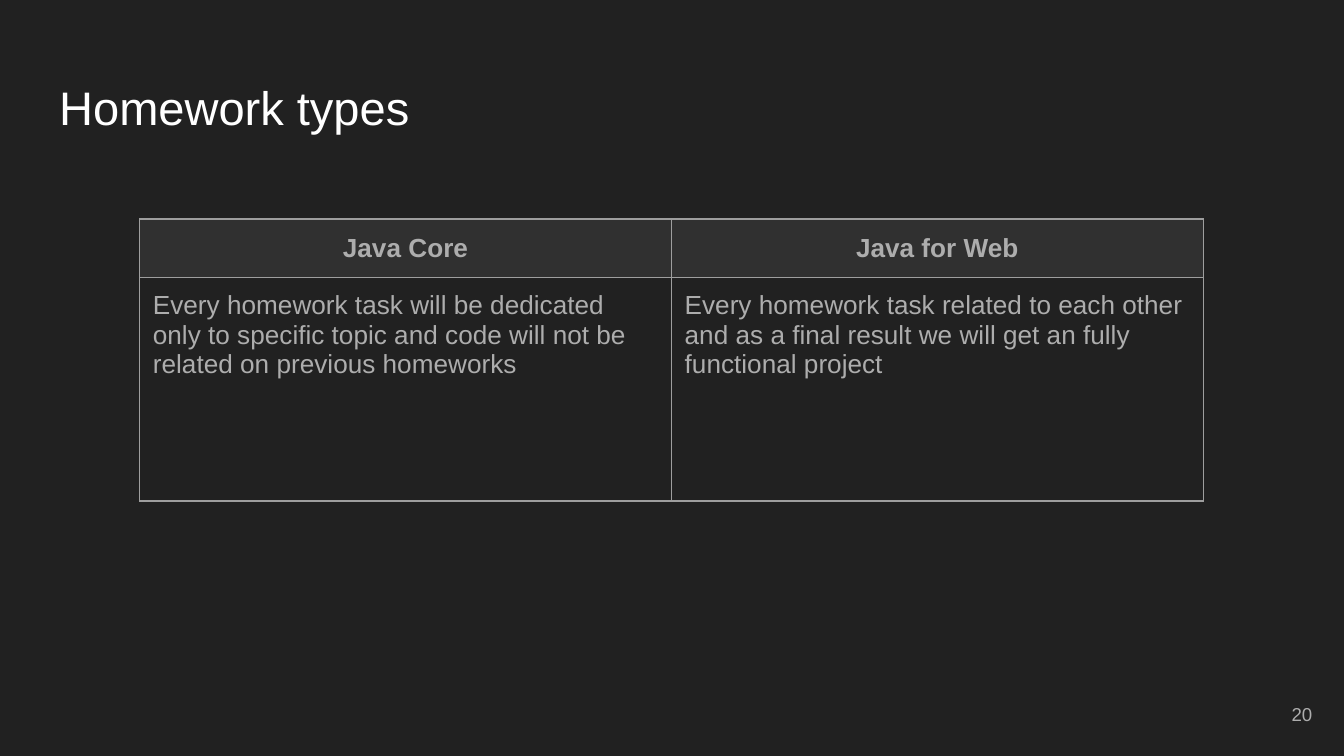
from dataclasses import dataclass
from lxml import etree
from pptx import Presentation
from pptx.dml.color import RGBColor
from pptx.enum.text import MSO_ANCHOR, PP_ALIGN
from pptx.oxml.ns import qn
from pptx.util import Cm, Pt

LEFT, CENTER, RIGHT = PP_ALIGN.LEFT, PP_ALIGN.CENTER, PP_ALIGN.RIGHT
TOP, MIDDLE = MSO_ANCHOR.TOP, MSO_ANCHOR.MIDDLE


@dataclass(frozen=True)
class Theme:
    font: str = "Arial"
    back: RGBColor = RGBColor.from_string("212121")
    head: RGBColor = RGBColor.from_string("303030")
    title: RGBColor = RGBColor.from_string("FFFFFF")
    text: RGBColor = RGBColor.from_string("ADADAD")
    rule: str = "9E9E9E"
    title_size: float = 25.2
    body_size: float = 14
    page_size: float = 10


theme = Theme()
pad = Cm(0.25)


def write(frame, text, size, color, align=LEFT, bold=False):
    frame.word_wrap = True
    para = frame.paragraphs[0]
    para.text = text
    para.alignment = align
    font = para.font
    font.name, font.size, font.bold = theme.font, Pt(size), bold
    font.color.rgb = color


def style(cell, fill, anchor):
    """Set a cell's padding, anchor, borders and fill (None for clear)."""
    cell.margin_left = cell.margin_right = pad
    cell.margin_top = cell.margin_bottom = pad
    cell.vertical_anchor = anchor
    props = cell._tc.get_or_add_tcPr()
    for side in ("a:lnL", "a:lnR", "a:lnT", "a:lnB"):
        line = etree.SubElement(props, qn(side), w=str(Pt(0.75)))
        solid = etree.SubElement(line, qn("a:solidFill"))
        etree.SubElement(solid, qn("a:srgbClr"), val=theme.rule)
    if fill is None:
        cell.fill.background()
    else:
        cell.fill.solid()
        cell.fill.fore_color.rgb = fill


deck = Presentation()
deck.slide_width, deck.slide_height = Cm(25.4), Cm(14.29)
slide = deck.slides.add_slide(deck.slide_layouts[6])
slide.background.fill.solid()
slide.background.fill.fore_color.rgb = theme.back

# Title and page number
labels = [
    ("Homework types", (0.87, 1.24, 23.67, 1.6), theme.title_size, theme.title, LEFT, TOP),
    ("20", (23.53, 12.95, 1.52, 1.09), theme.page_size, theme.text, RIGHT, MIDDLE),
]
for text, place, size, color, align, anchor in labels:
    frame = slide.shapes.add_textbox(*map(Cm, place)).text_frame
    frame.margin_left = frame.margin_right = pad
    frame.margin_top = frame.margin_bottom = pad
    frame.vertical_anchor = anchor
    write(frame, text, size, color, align)

# Homework table
rows = [
    ("Java Core", "Java for Web"),
    ("Every homework task will be dedicated only to specific topic and code will not be related on previous homeworks",
     "Every homework task related to each other and as a final result we will get an fully functional project"),
]
heights = [Cm(1.11), Cm(4.22)]
table = slide.shapes.add_table(2, 2, Cm(2.64), Cm(4.14), Cm(20.1), sum(heights)).table
table.horz_banding = False
for row, height in zip(table.rows, heights):
    row.height = height
for r, texts in enumerate(rows):
    head = r == 0
    for c, text in enumerate(texts):
        cell = table.cell(r, c)
        style(cell, theme.head if head else None, MIDDLE if head else TOP)
        write(cell.text_frame, text, theme.body_size, theme.text, CENTER if head else LEFT, head)

deck.save("out.pptx")
